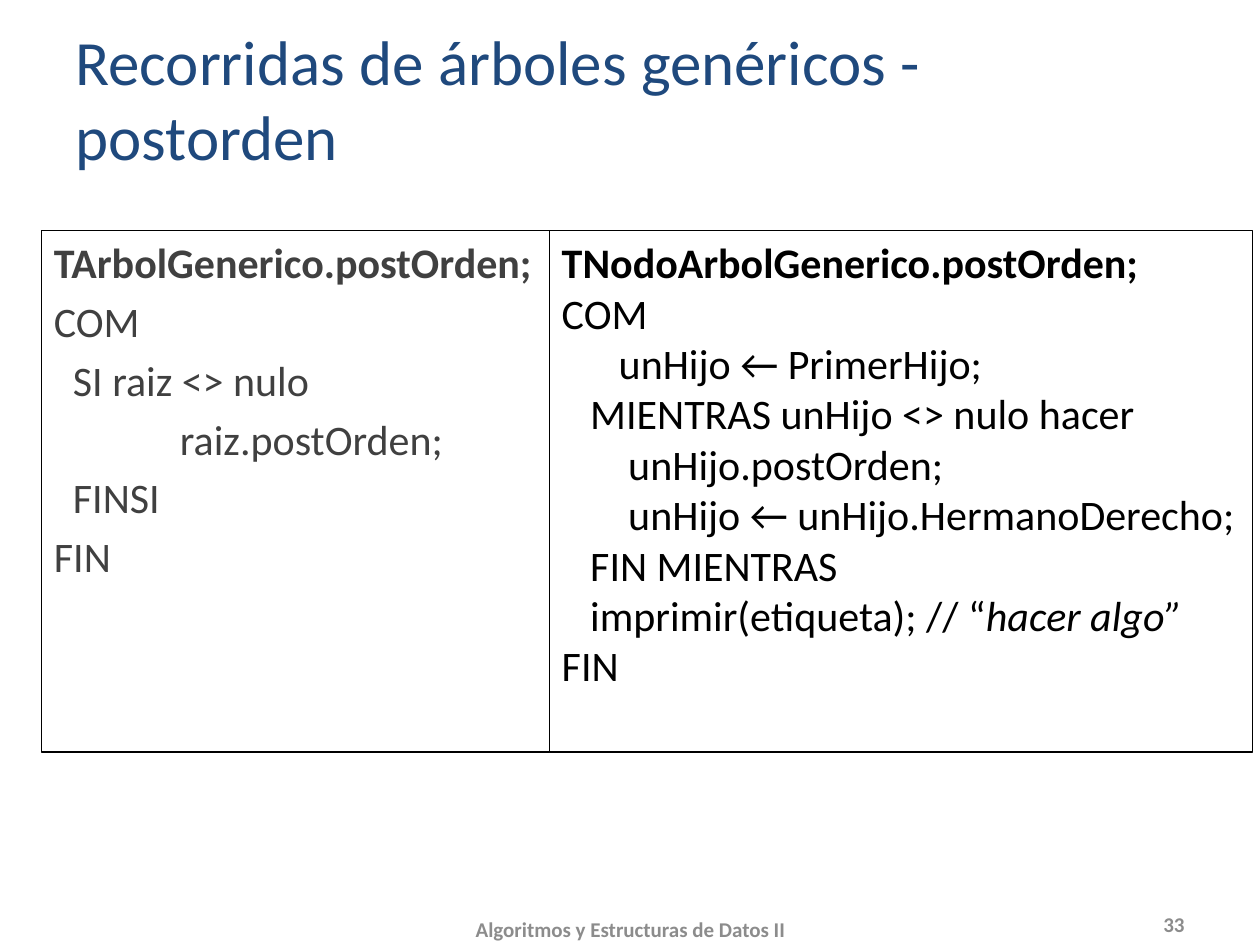
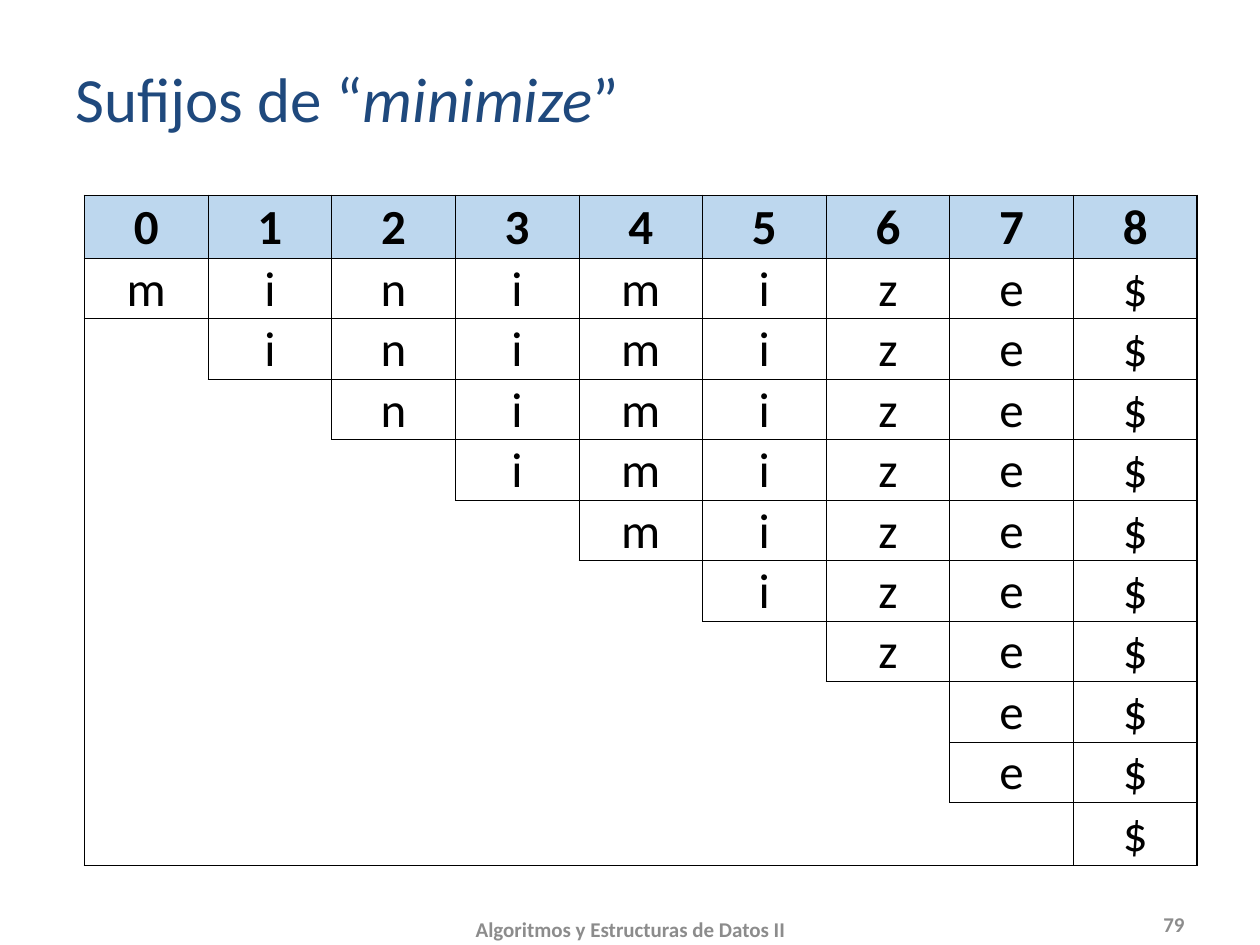
from lxml import etree
from pptx import Presentation
from pptx.dml.color import RGBColor
from pptx.enum.shapes import MSO_SHAPE as Shape
from pptx.enum.text import MSO_ANCHOR as Anchor, PP_ALIGN as Align
from pptx.oxml.ns import qn
from pptx.util import Inches, Pt

NAVY = RGBColor(0x1F, 0x49, 0x7D)
BLACK = RGBColor(0, 0, 0)
CHARCOAL = RGBColor(0x40, 0x40, 0x40)
GRAY = RGBColor(0x8C, 0x8C, 0x8C)
LIGHT_BLUE = RGBColor(0xBD, 0xD7, 0xEE)

# Shared text formats
TITLE = {"size": Pt(36), "color": NAVY}
FOOTER = {"size": Pt(12), "color": GRAY, "bold": True}
TREE_CODE = {"size": Pt(24), "color": CHARCOAL}
NODE_CODE = {"size": Pt(24), "color": BLACK}
CELL = {"size": Pt(28), "color": BLACK}
BOLD = {"bold": True}
ITALIC = {"italic": True}


def write(frame, lines, style, align=Align.LEFT, gap=0):
    """Fill a frame; each line is a list of (text, extra format) pairs."""
    frame.word_wrap = True
    for number, line in enumerate(lines):
        para = frame.paragraphs[0] if number == 0 else frame.add_paragraph()
        para.alignment = align
        para.space_before = Pt(gap if number else 0)
        if line[0][0].startswith("\t"):
            tabs = etree.SubElement(para._p.get_or_add_pPr(), qn("a:tabLst"))
            etree.SubElement(tabs, qn("a:tab"), pos=str(Inches(1)), algn="l")
        for text, extra in line:
            span = para.add_run()
            span.text = text
            for name, value in {"name": "Calibri", **style, **extra}.items():
                if name == "color":
                    span.font.color.rgb = value
                else:
                    setattr(span.font, name, value)


def add_text(page, area, lines, style, align=Align.LEFT):
    """Add a vertically centred text box."""
    box = page.shapes.add_textbox(*map(Inches, area))
    box.text_frame.vertical_anchor = Anchor.MIDDLE
    write(box.text_frame, lines, style, align)


deck = Presentation()
deck.slide_width, deck.slide_height = Inches(10), Inches(7.5)

# Title, footer and page number of every slide
headings = [
    ([("Recorridas de árboles genéricos - postorden", {})], "33"),
    ([("Sufijos de “", {}), ("minimize", ITALIC), ("”", {})], "79"),
]
pages = []
for title, number in headings:
    page = deck.slides.add_slide(deck.slide_layouts[6])
    add_text(page, (0.5, 0, 7.1, 1.55), [title], TITLE)
    add_text(page, (3.42, 7.25, 3.17, 0.25),
             [[("Algoritmos y Estructuras de Datos II", {})]], FOOTER, Align.CENTER)
    add_text(page, (7.17, 7.17, 2.33, 0.33), [[(number, {})]], FOOTER, Align.RIGHT)
    pages.append(page)
traversal_page, suffix_page = pages

# Slide 1: pseudocode of the tree and of its nodes, side by side
tree_lines = [
    [("TArbolGenerico.postOrden;", BOLD)],
    [("COM", {})],
    [("  SI raiz <> nulo", {})],
    [("\traiz.postOrden;", {})],
    [("  FINSI", {})],
    [("FIN", {})],
]
node_lines = [
    [("TNodoArbolGenerico.postOrden;", BOLD)],
    [("COM", {})],
    [("      unHijo ← PrimerHijo;", {})],
    [("   MIENTRAS unHijo <> nulo hacer", {})],
    [("       unHijo.postOrden;", {})],
    [("       unHijo ← unHijo.HermanoDerecho;", {})],
    [("   FIN MIENTRAS", {})],
    [("   imprimir(etiqueta); // “", {}), ("hacer algo”", ITALIC)],
    [("FIN", {})],
]
for left, width, lines, style, gap in [
    (0.33, 4.03, tree_lines, TREE_CODE, 4.8),
    (4.36, 5.58, node_lines, NODE_CODE, 0),
]:
    panel = traversal_page.shapes.add_shape(
        Shape.RECTANGLE, Inches(left), Inches(1.83), Inches(width), Inches(4.14))
    panel.shadow.inherit = False
    panel.fill.background()
    panel.line.color.rgb = BLACK
    panel.line.width = Pt(0.75)
    panel.text_frame.vertical_anchor = Anchor.TOP
    write(panel.text_frame, lines, style, gap=gap)

# Slide 2: staircase of suffixes, each row starting at its own column
word = "minimize$"
starts = [0, 0, 1, 2, 3, 4, 5, 6, 7, 7, 8]  # the header row comes first
last_row, last_column = len(starts) - 1, len(word) - 1
frame = suffix_page.shapes.add_table(
    len(starts), len(word), Inches(0.67), Inches(1.55), Inches(8.83), Inches(5.29))
table = frame.table
table.first_row = table.horz_banding = False
table._tbl.tblPr.find(qn("a:tableStyleId")).text = "{2D5ABB26-0587-4C30-8999-92F81FD0307C}"
for column in table.columns:
    column.width = Inches(8.83 / len(word))
for r, row in enumerate(table.rows):
    row.height = Inches(0.5 if r in (0, last_row) else 0.48)

for r, start in enumerate(starts):
    for c, letter in enumerate(word):
        cell = table.cell(r, c)
        cell.margin_left = cell.margin_right = cell.margin_top = Inches(0.01)
        cell.margin_bottom = 0
        cell.vertical_anchor = Anchor.MIDDLE
        filled = c >= start

        # Border widths in points: outer edges and header rule 1, inner edges 0.5
        inner = 0.5 if filled else 0
        borders = {
            "lnL": 1 if c == 0 else inner,
            "lnR": 1 if c == last_column else 0.5 if c + 1 >= start else 0,
            "lnT": 1 if r < 2 else 0.5 if c >= starts[r - 1] else 0,
            "lnB": 1 if r in (0, last_row) else inner,
        }
        for side, points in borders.items():
            edge = etree.SubElement(cell._tc.get_or_add_tcPr(), qn("a:" + side), w=str(Pt(points)))
            if points:
                paint = etree.SubElement(edge, qn("a:solidFill"))
                etree.SubElement(paint, qn("a:srgbClr"), val=str(BLACK))
            else:
                etree.SubElement(edge, qn("a:noFill"))

        # Fill and text
        if r == 0:
            cell.fill.solid()
            cell.fill.fore_color.rgb = LIGHT_BLUE
            write(cell.text_frame, [[(str(c), BOLD)]], CELL, Align.CENTER)
        else:
            cell.fill.background()
            if filled:
                write(cell.text_frame, [[(letter, {})]], CELL, Align.CENTER)

deck.save("out.pptx")
